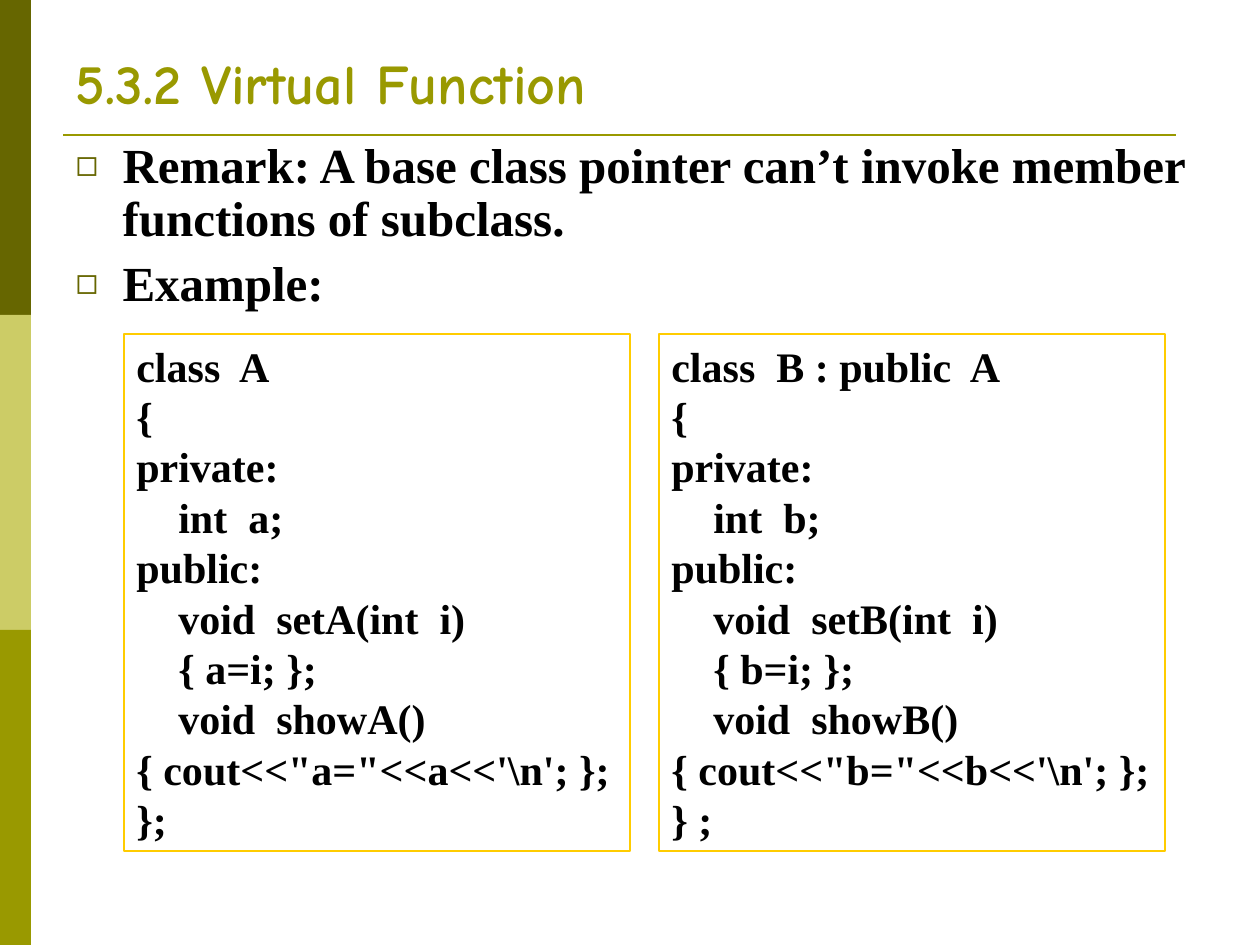
from lxml import etree
from pptx import Presentation
from pptx.dml.color import RGBColor
from pptx.enum.shapes import MSO_CONNECTOR, MSO_SHAPE
from pptx.enum.text import MSO_ANCHOR, MSO_AUTO_SIZE, PP_ALIGN
from pptx.oxml.ns import qn
from pptx.util import Pt

RECTANGLE = MSO_SHAPE.RECTANGLE
STRAIGHT = MSO_CONNECTOR.STRAIGHT
TOP, BOTTOM = MSO_ANCHOR.TOP, MSO_ANCHOR.BOTTOM
NO_FIT, GROW = MSO_AUTO_SIZE.NONE, MSO_AUTO_SIZE.SHAPE_TO_FIT_TEXT
LEFT = PP_ALIGN.LEFT

EMU_PER_PX = 914400 / 126
PAGE_WIDTH, PAGE_HEIGHT = 1260, 945
COLORS = {
    "dark": "666600",
    "pale": "CCCC66",
    "olive": "999900",
    "frame": "FFCC00",
    "paper": "FFFFFF",
    "ink": "000000",
}
TITLE_FONT = "Comic Neue"
TEXT_FONT = "Times New Roman"

REMARKS = [
    "Remark: A base class pointer can’t invoke member functions of subclass.",
    "Example:",
]
CLASS_A = [
    "class  A", "{", "private:", "    int  a;", "public:",
    "    void  setA(int  i)", "    { a=i; };",
    "    void  showA() { cout<<\"a=\"<<a<<'\\n'; };", "};",
]
CLASS_B = [
    "class  B : public  A", "{", "private:", "    int  b;", "public:",
    "    void  setB(int  i)", "    { b=i; };",
    "    void  showB() { cout<<\"b=\"<<b<<'\\n'; };", "} ;",
]


def px(length):
    return round(length * EMU_PER_PX)


def color(name):
    return RGBColor.from_string(COLORS[name])


def place(shape, box):
    shape.left, shape.top, shape.width, shape.height = map(px, box)


def add_bullet(para):
    properties = para._p.get_or_add_pPr()
    properties.set("marL", str(px(47)))
    properties.set("indent", str(px(-47)))
    bullet_color = etree.SubElement(properties, qn("a:buClr"))
    etree.SubElement(bullet_color, qn("a:srgbClr"), val=COLORS["dark"])
    etree.SubElement(properties, qn("a:buSzPct"), val="75000")
    etree.SubElement(properties, qn("a:buChar"), char="◻")


def write(shape, lines, size, font=TEXT_FONT, ink="ink", anchor=TOP,
          fit=NO_FIT, bullets=False, line_spacing=None, gap=0):
    frame = shape.text_frame
    frame.word_wrap = True
    frame.auto_size = fit
    frame.vertical_anchor = anchor
    for index, line in enumerate(lines):
        para = frame.paragraphs[0] if index == 0 else frame.add_paragraph()
        if bullets:
            add_bullet(para)
        para.alignment = LEFT
        para.space_before = Pt(gap if index else 0)
        if line_spacing:
            para.line_spacing = line_spacing
        span = para.add_run()
        span.text = line
        span.font.name = font
        span.font.size = Pt(size)
        span.font.bold = True
        span.font.color.rgb = color(ink)


def add_rectangle(page, box, fill, outline=None):
    shape = page.shapes.add_shape(RECTANGLE, *map(px, box))
    shape.shadow.inherit = False
    shape.fill.solid()
    shape.fill.fore_color.rgb = color(fill)
    if outline:
        shape.line.color.rgb = color(outline)
        shape.line.width = Pt(0.75)
    else:
        shape.line.fill.background()
    return shape


def add_side_bar(page, box):
    left, top, width, height = box
    fills = ["dark", "pale", "olive"]
    part = height // len(fills)
    for index, fill in enumerate(fills):
        add_rectangle(page, (left, top + index * part, width, part), fill)


def add_heading(page, box):
    left, top, width, height = box
    place(page.shapes.title, (left, top, width, height - 13))
    write(page.shapes.title, ["5.3.2 Virtual Function"], 32,
          font=TITLE_FONT, ink="olive", anchor=BOTTOM)
    # Rule under the title
    bottom = px(top + height)
    rule = page.shapes.add_connector(
        STRAIGHT, px(left), bottom, px(left + width - 21), bottom)
    rule.line.color.rgb = color("olive")
    rule.line.width = Pt(1.5)
    etree.SubElement(rule._element.spPr, qn("a:effectLst"))


def add_remarks(page, box):
    body = page.placeholders[1]
    place(body, box)
    write(body, REMARKS, 28, bullets=True, line_spacing=0.9, gap=7)


def add_listings(page, box):
    left, top, width, height = box
    gap = 29
    column = (width - gap) // 2
    for index, code in enumerate([CLASS_A, CLASS_B]):
        x = left + index * (column + gap)
        panel = add_rectangle(page, (x, top, column, height), "paper", "frame")
        write(panel, code, 24, fit=GROW)


def main():
    deck = Presentation()
    deck.slide_width, deck.slide_height = px(PAGE_WIDTH), px(PAGE_HEIGHT)
    page = deck.slides.add_slide(deck.slide_layouts[1])
    add_side_bar(page, (0, 0, 31, PAGE_HEIGHT))
    add_heading(page, (63, 35, 1134, 100))
    add_remarks(page, (63, 135, 1153, 198))
    add_listings(page, (124, 334, 1041, 517))
    deck.save("out.pptx")


if __name__ == "__main__":
    main()
